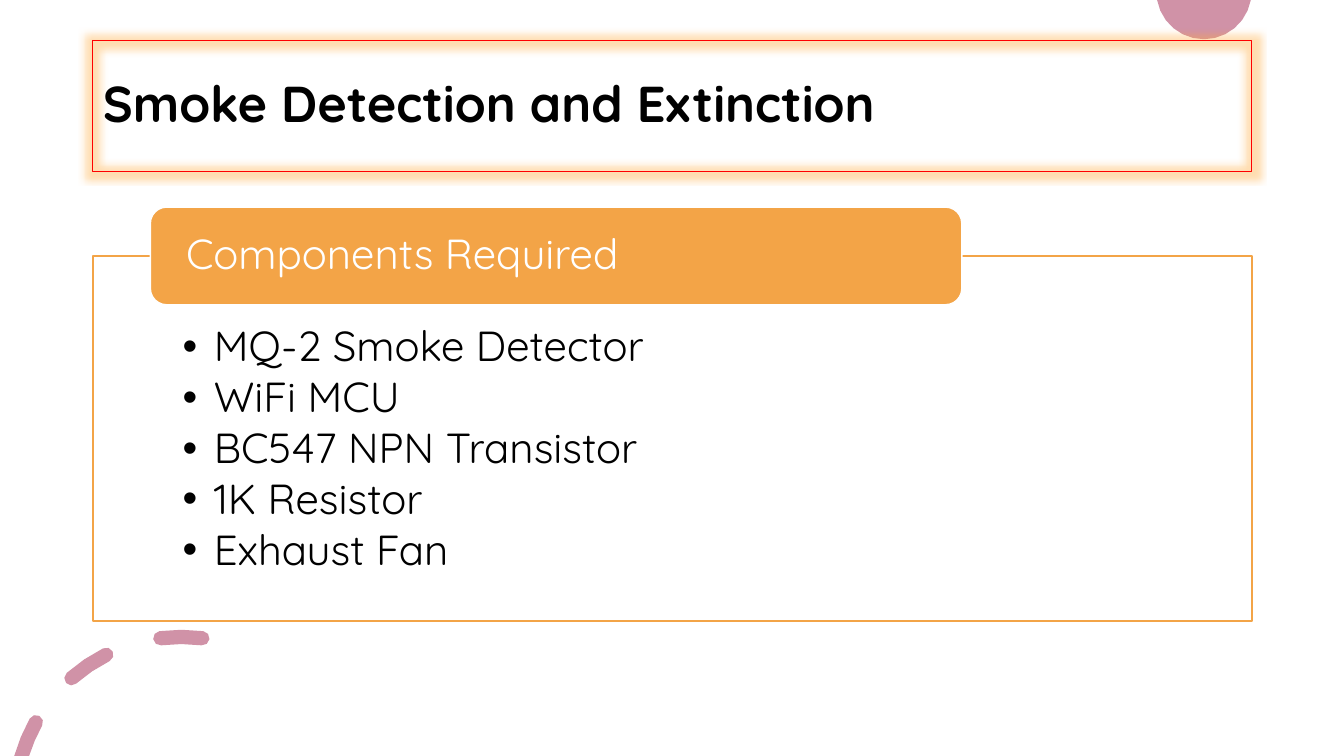
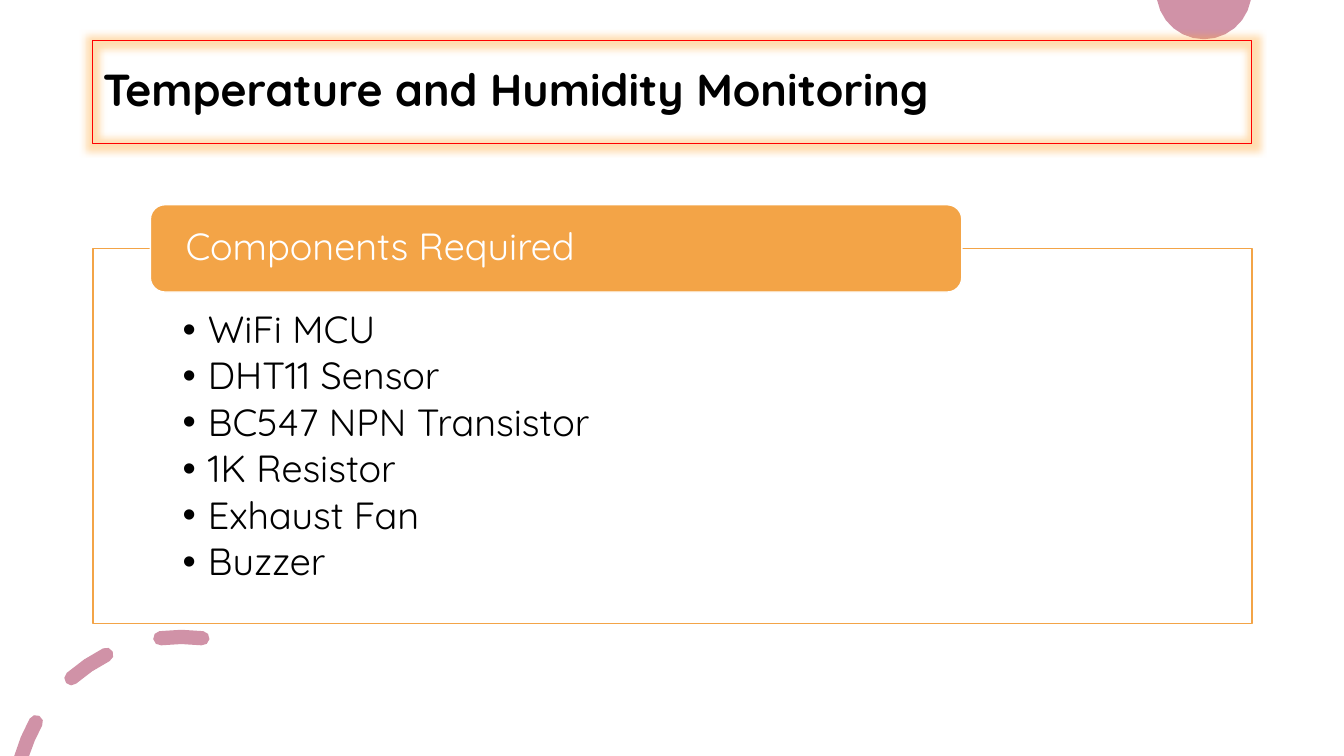
from dataclasses import dataclass
from math import acos, cos, degrees, radians, sin

from lxml.etree import SubElement
from pptx import Presentation
from pptx.dml.color import RGBColor
from pptx.enum.shapes import MSO_SHAPE as Preset
from pptx.enum.text import MSO_ANCHOR as Anchor
from pptx.enum.text import MSO_AUTO_SIZE as AutoSize
from pptx.enum.text import PP_ALIGN as Align
from pptx.oxml.ns import qn
from pptx.util import Cm, Pt

# Shared style, lengths in centimetres
COLORS = {
    "accent": "F3A447",
    "glow": "FFAA3B",
    "decoration": "D092A7",
    "title_line": "FF0000",
    "text": "000000",
    "white": "FFFFFF",
}
FONT = "Quicksand"
SLIDE_WIDTH, SLIDE_HEIGHT = 33.87, 19.05
LEFT, WIDTH = 2.34, 29.21
TITLE_TOP = 1.02
HEADER_LEFT, HEADER_WIDTH = 3.79, 20.45
HEADER_INSET, LIST_INSET = 0.78, 2.26

Points = list[tuple[float, float]]


@dataclass(frozen=True)
class ComponentSlide:
    title: str
    title_size: int
    title_height: float
    header: str
    header_height: float
    frame_top: float
    frame_height: float
    list_top_inset: float
    list_indent: float
    text_size: int
    components: tuple[str, ...]


SLIDES = (
    ComponentSlide(
        title="Smoke Detection and Extinction", title_size=36, title_height=3.3,
        header="Components Required", header_height=2.46,
        frame_top=6.45, frame_height=9.2,
        list_top_inset=1.75, list_indent=0.79, text_size=30,
        components=("MQ-2 Smoke Detector", "WiFi MCU", "BC547 NPN Transistor",
                    "1K Resistor", "Exhaust Fan"),
    ),
    ComponentSlide(
        title="Temperature and Humidity Monitoring", title_size=32, title_height=2.6,
        header="Components Required", header_height=2.2,
        frame_top=6.26, frame_height=9.45,
        list_top_inset=1.57, list_indent=0.64, text_size=27,
        components=("WiFi MCU", "DHT11 Sensor", "BC547 NPN Transistor",
                    "1K Resistor", "Exhaust Fan", "Buzzer"),
    ),
)


def color(name: str) -> RGBColor:
    return RGBColor.from_string(COLORS[name])


def place(shape, left: float, top: float, width: float, height: float) -> None:
    shape.left, shape.top = Cm(left), Cm(top)
    shape.width, shape.height = Cm(width), Cm(height)


def set_fill(shape, color_name: str, opacity: int = 100) -> None:
    shape.fill.solid()
    shape.fill.fore_color.rgb = color(color_name)
    if opacity < 100:
        tint = shape._element.spPr.find(qn("a:solidFill"))[0]
        SubElement(tint, qn("a:alpha"), val=str(opacity * 1000))


def set_outline(shape, color_name: str, width: float) -> None:
    shape.line.color.rgb = color(color_name)
    shape.line.width = Pt(width)


def write_text(shape, lines: tuple[str, ...], *, size: int, color_name: str = "text",
               bold: bool = False, anchor=Anchor.MIDDLE, side: float = 0.25,
               top: float = 0.13, bottom: float = 0.13,
               space_after: float = 0, indent: float = 0) -> None:
    """Fill a shape with left-aligned paragraphs."""
    frame = shape.text_frame
    frame.word_wrap = True
    frame.auto_size = AutoSize.NONE
    frame.vertical_anchor = anchor
    frame.margin_left = frame.margin_right = Cm(side)
    frame.margin_top, frame.margin_bottom = Cm(top), Cm(bottom)
    frame.text = "\n".join(lines)
    for paragraph in frame.paragraphs:
        paragraph.alignment = Align.LEFT
        paragraph.line_spacing = 0.9
        paragraph.space_before = Pt(0)
        paragraph.space_after = Pt(space_after)
        properties = paragraph._p.get_or_add_pPr()
        properties.set("marL", str(Cm(indent)))
        properties.set("indent", str(-Cm(indent)))
        for run in paragraph.runs:
            run.font.name = FONT
            run.font.size = Pt(size)
            run.font.bold = bold
            run.font.color.rgb = color(color_name)


def add_glow(shape, color_name: str, radius: float, opacity: int) -> None:
    shape.shadow.inherit = False
    effects = shape._element.spPr.find(qn("a:effectLst"))
    glow = SubElement(effects, qn("a:glow"), rad=str(Cm(radius)))
    tint = SubElement(glow, qn("a:srgbClr"), val=COLORS[color_name])
    SubElement(tint, qn("a:alpha"), val=str(opacity * 1000))


# Decoration, ending at the slide edges and kept on the layout
def arc(center: tuple[float, float], radius: float,
        start: float, end: float, steps: int) -> Points:
    """Points on an arc, with angles in degrees clockwise from the top."""
    x, y = center
    angles = [radians(start + (end - start) * i / steps) for i in range(steps + 1)]
    return [(x + radius * sin(a), y - radius * cos(a)) for a in angles]


def dot_outline() -> Points:
    """Part of the dot that lies below the top edge."""
    center, radius = (30.34, -0.21), 1.2
    edge = degrees(acos(center[1] / radius))
    return arc(center, radius, edge, 360 - edge, 12)


def dash_outline(middle: float) -> Points:
    """One round-ended dash of the corner ring, cut at the bottom edge."""
    center, radius, half_width, half_span = (4.57, 20.25), 4.2, 0.18, 7.25
    start, end = middle - half_span, middle + half_span

    def edge(distance: float) -> float:
        return -degrees(acos((center[1] - SLIDE_HEIGHT) / distance))

    outer, inner = radius + half_width, radius - half_width
    end_cap = arc(arc(center, radius, end, end, 1)[0], half_width, end, end + 180, 4)
    start_cap: Points = []
    if start > edge(radius):
        start_center = arc(center, radius, start, start, 1)[0]
        start_cap = arc(start_center, half_width, start + 180, start + 360, 4)[1:-1]
        outer_start = inner_start = start
    else:
        outer_start, inner_start = edge(outer), edge(inner)
    return (arc(center, outer, outer_start, end, 2) + end_cap[1:-1]
            + arc(center, inner, end, inner_start, 2) + start_cap)


def add_outlines(slide, layout, outlines: list[Points]) -> None:
    contours = [[(Cm(x), Cm(y)) for x, y in outline] for outline in outlines]
    builder = slide.shapes.build_freeform(*contours[0][0])
    for number, points in enumerate(contours):
        if number:
            builder.move_to(*points[0])
        builder.add_line_segments(points[1:], close=True)
    shape = builder.convert_to_shape()
    set_fill(shape, "decoration")
    shape.line.fill.background()
    shape.shadow.inherit = False
    layout.shapes.element.append(shape.element)


def add_decoration(slide, layout) -> None:
    add_outlines(slide, layout, [dot_outline()])
    add_outlines(slide, layout, [dash_outline(-34 * i) for i in range(3)])


# Slide parts
def add_title(slide, content: ComponentSlide) -> None:
    title = slide.shapes.title
    place(title, LEFT, TITLE_TOP, WIDTH, content.title_height)
    set_outline(title, "title_line", 0.75)
    add_glow(title, "glow", radius=0.35, opacity=40)
    write_text(title, (content.title,), size=content.title_size, bold=True)


def add_component_list(slide, content: ComponentSlide) -> None:
    body = slide.placeholders[1]
    place(body, LEFT, content.frame_top, WIDTH, content.frame_height)
    set_fill(body, "white", opacity=90)
    set_outline(body, "accent", 1)
    write_text(body, content.components, size=content.text_size, anchor=Anchor.TOP,
               side=LIST_INSET, top=content.list_top_inset, bottom=0.55,
               space_after=4, indent=content.list_indent)


def add_header(slide, content: ComponentSlide) -> None:
    """Add the label centred on the top edge of the list frame."""
    top = content.frame_top - content.header_height / 2
    header = slide.shapes.add_shape(
        Preset.ROUNDED_RECTANGLE, Cm(HEADER_LEFT), Cm(top),
        Cm(HEADER_WIDTH), Cm(content.header_height))
    set_fill(header, "accent")
    set_outline(header, "white", 1)
    header.shadow.inherit = False
    write_text(header, (content.header,), size=content.text_size, color_name="white",
               side=HEADER_INSET, top=0, bottom=0)


def main() -> None:
    presentation = Presentation()
    presentation.slide_width = Cm(SLIDE_WIDTH)
    presentation.slide_height = Cm(SLIDE_HEIGHT)
    layout = presentation.slide_layouts[1]
    for number, content in enumerate(SLIDES):
        slide = presentation.slides.add_slide(layout)
        if number == 0:
            add_decoration(slide, layout)
        add_title(slide, content)
        add_component_list(slide, content)
        add_header(slide, content)
    presentation.save("out.pptx")


if __name__ == "__main__":
    main()
